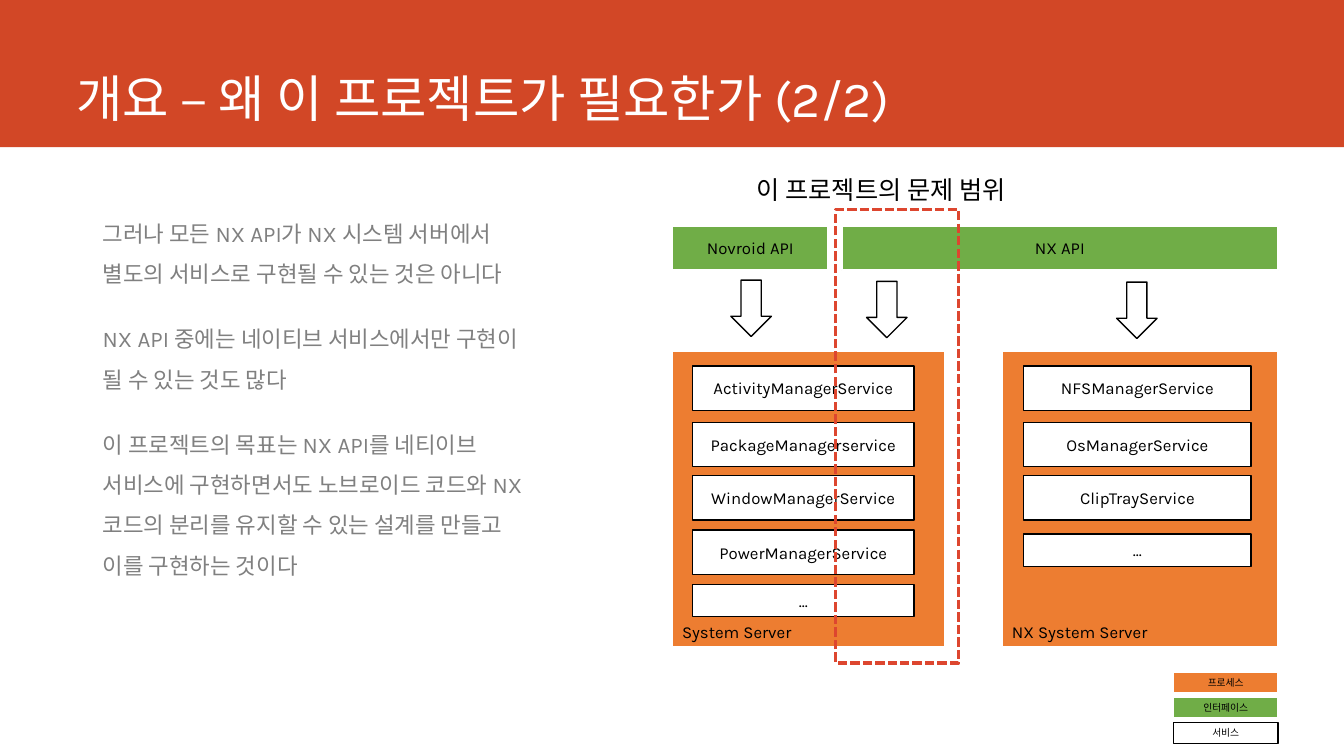
import pptx
import pptx.dml.color
import pptx.enum.dml
import pptx.enum.shapes
import pptx.enum.text
import pptx.util

Cm = pptx.util.Cm
Pt = pptx.util.Pt
RGBColor = pptx.dml.color.RGBColor
Shape = pptx.enum.shapes.MSO_SHAPE
Anchor = pptx.enum.text.MSO_ANCHOR
Align = pptx.enum.text.PP_ALIGN

RED = RGBColor(0xD2, 0x47, 0x26)
SCOPE_RED = RGBColor(0xDD, 0x46, 0x2F)
ORANGE = RGBColor(0xED, 0x7D, 0x31)
GREEN = RGBColor(0x70, 0xAD, 0x47)
GRAY = RGBColor(0x80, 0x80, 0x80)
BLACK = RGBColor(0, 0, 0)
WHITE = RGBColor(0xFF, 0xFF, 0xFF)

FONT = "Karla"
TITLE = "개요 – 왜 이 프로젝트가 필요한가 (2/2)"
REASONS = [
    "그러나 모든 NX API가 NX 시스템 서버에서 별도의 서비스로 구현될 수 있는 것은 아니다",
    "NX API 중에는 네이티브 서비스에서만 구현이 될 수 있는 것도 많다",
    "이 프로젝트의 목표는 NX API를 네티이브 서비스에 구현하면서도 노브로이드 코드와 "
    "NX코드의 분리를 유지할 수 있는 설계를 만들고 이를 구현하는 것이다",
]
SERVICE_TOPS = [9.22, 10.64, 11.99, 13.36]
SYSTEM_SERVICES = ["ActivityManagerService", "PackageManagerservice",
                   "WindowManagerService", "PowerManagerService"]
VENDOR_SERVICES = ["NFSManagerService", "OsManagerService", "ClipTrayService"]
LEGEND = [("프로세스", ORANGE), ("인터페이스", GREEN), ("서비스", WHITE)]


def write_text(shape, *texts, size=12, color=BLACK, align=Align.CENTER,
               anchor=Anchor.MIDDLE, line_spacing=None, before=0, after=0):
    """Fill a shape with one paragraph per text."""
    frame = shape.text_frame
    frame.word_wrap = True
    frame.vertical_anchor = anchor
    for index, text in enumerate(texts):
        para = frame.add_paragraph() if index else frame.paragraphs[0]
        para.alignment = align
        para.line_spacing = line_spacing
        para.space_before = Pt(before)
        para.space_after = Pt(after)
        span = para.add_run()
        span.text = text
        span.font.name = FONT
        span.font.size = Pt(size)
        span.font.color.rgb = color


def add_label(page, left, top, width, height, *texts, **style):
    """Add a left-aligned text box."""
    box = page.shapes.add_textbox(Cm(left), Cm(top), Cm(width), Cm(height))
    write_text(box, *texts, align=Align.LEFT, **style)


def add_block(page, left, top, width, height, fill=None, line=None,
              weight=1, kind=Shape.RECTANGLE):
    """Add a flat preset shape and return it."""
    block = page.shapes.add_shape(kind, Cm(left), Cm(top), Cm(width), Cm(height))
    block.shadow.inherit = False
    if fill is None:
        block.fill.background()
    else:
        block.fill.solid()
        block.fill.fore_color.rgb = fill
    if line is None:
        block.line.fill.background()
    else:
        block.line.color.rgb = line
        block.line.width = Pt(weight)
    return block


def add_colored_box(page, left, top, width, height, fill, text, **style):
    """Add a captioned process or interface with a white edge."""
    box = add_block(page, left, top, width, height, fill, WHITE, 1.5)
    write_text(box, text, **style)


def add_service(page, left, top, width, height, text, **style):
    """Add a white service box with a black edge."""
    box = add_block(page, left, top, width, height, WHITE, BLACK)
    write_text(box, text, **style)


def add_server(page, left, width, name, service_left, service_width,
               services, more_top):
    """Add a server process with its stack of services."""
    add_colored_box(page, left, 8.84, width, 7.47, ORANGE, name,
                    align=Align.LEFT, anchor=Anchor.BOTTOM)
    for top, service in zip(SERVICE_TOPS, services):
        add_service(page, service_left, top, service_width, 1.12, service)
    add_service(page, service_left, more_top, service_width, 0.81, "...")


def add_legend(page):
    """Add the color key at the bottom right."""
    for index, (text, fill) in enumerate(LEGEND):
        place = (29.57, 16.94 + index * 0.63, 2.64, 0.53)
        if fill == WHITE:
            add_service(page, *place, text, size=7)
        else:
            add_colored_box(page, *place, fill, text, size=7)


def add_scope(page):
    """Add the dashed frame of the problem scope and its caption."""
    frame = add_block(page, 21.06, 5.28, 3.1, 11.43, line=SCOPE_RED, weight=2.25)
    frame.line.dash_style = pptx.enum.dml.MSO_LINE.SQUARE_DOT
    add_label(page, 18.82, 4.27, 7.44, 1.02, "이 프로젝트의 문제 범위",
              size=18, anchor=Anchor.TOP)


def main():
    """Build the slide and save the deck."""
    deck = pptx.Presentation()
    deck.slide_width = Cm(33.87)
    deck.slide_height = Cm(19.05)
    page = deck.slides.add_slide(deck.slide_layouts[6])

    add_block(page, 0, 0, 33.87, 3.71, RED)
    add_label(page, 1.68, 0, 29.87, 3.35, TITLE, size=36, color=WHITE,
              anchor=Anchor.BOTTOM)
    add_label(page, 2.34, 5.08, 11.58, 12.09, *REASONS, size=16, color=GRAY,
              anchor=Anchor.TOP, line_spacing=1.5, before=5.8, after=12)

    add_server(page, 16.94, 6.88, "System Server", 17.45, 5.59,
               SYSTEM_SERVICES, 14.73)
    add_server(page, 25.25, 6.96, "NX System Server", 25.8, 5.73,
               VENDOR_SERVICES, 13.46)
    add_colored_box(page, 16.94, 5.69, 3.94, 1.12, GREEN, "Novroid API")
    add_colored_box(page, 21.21, 5.69, 11, 1.12, GREEN, "NX API")
    for left, top in [(18.42, 7.06), (21.84, 7.09), (28.14, 7.11)]:
        add_block(page, left, top, 1.02, 1.42, WHITE, BLACK, kind=Shape.DOWN_ARROW)
    add_legend(page)
    add_scope(page)
    deck.save("out.pptx")


if __name__ == "__main__":
    main()
